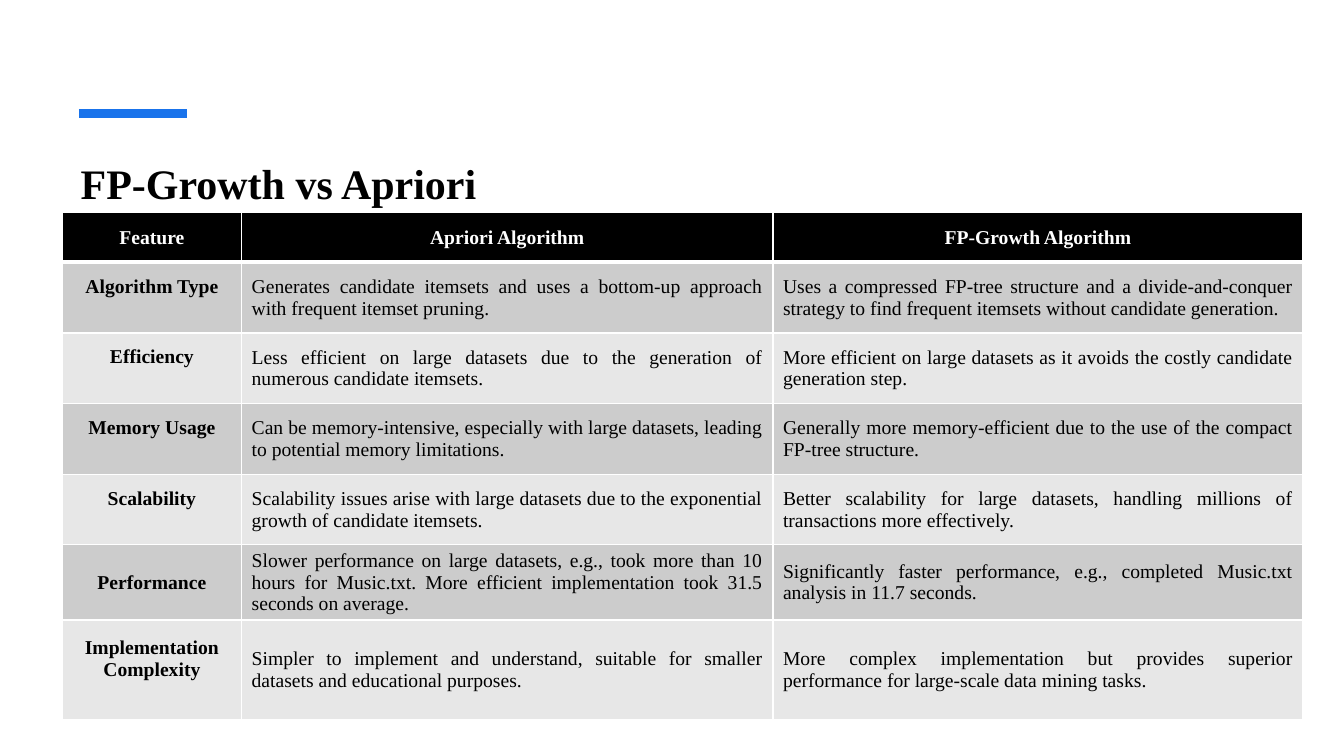
from lxml import etree
from pptx import Presentation
from pptx.dml.color import RGBColor
from pptx.enum.shapes import MSO_CONNECTOR
from pptx.enum.text import MSO_ANCHOR, PP_ALIGN
from pptx.oxml.ns import qn
from pptx.util import Cm, Pt

STRAIGHT = MSO_CONNECTOR.STRAIGHT
CENTER, JUSTIFY, LEFT = PP_ALIGN.CENTER, PP_ALIGN.JUSTIFY, PP_ALIGN.LEFT
MIDDLE, BOTTOM = MSO_ANCHOR.MIDDLE, MSO_ANCHOR.BOTTOM
FONT = "Times New Roman"
BLACK, WHITE, BLUE = "000000", "FFFFFF", "1973EB"
BANDS = ["CCCCCC", "E7E7E7"]
COLUMN_WIDTHS = [4.52, 13.39, 13.36]
ROW_HEIGHTS = [1.25, 1.78, 1.78, 1.78, 1.78, 1.88, 2.51]
RAISED_MARGIN = 0.68
CENTRED_LABELS = ["Feature", "Performance"]
COMPARISON = [
    ["Feature", "Apriori Algorithm", "FP-Growth Algorithm"],
    ["Algorithm Type",
     "Generates candidate itemsets and uses a bottom-up approach with frequent itemset pruning.",
     "Uses a compressed FP-tree structure and a divide-and-conquer strategy to find "
     "frequent itemsets without candidate generation."],
    ["Efficiency",
     "Less efficient on large datasets due to the generation of numerous candidate itemsets.",
     "More efficient on large datasets as it avoids the costly candidate generation step."],
    ["Memory Usage",
     "Can be memory-intensive, especially with large datasets, leading to potential "
     "memory limitations.",
     "Generally more memory-efficient due to the use of the compact FP-tree structure."],
    ["Scalability",
     "Scalability issues arise with large datasets due to the exponential growth of "
     "candidate itemsets.",
     "Better scalability for large datasets, handling millions of transactions more effectively."],
    ["Performance",
     "Slower performance on large datasets, e.g., took more than 10 hours for Music.txt. "
     "More efficient implementation took 31.5 seconds on average.",
     "Significantly faster performance, e.g., completed Music.txt analysis in 11.7 seconds."],
    ["Implementation Complexity",
     "Simpler to implement and understand, suitable for smaller datasets and educational purposes.",
     "More complex implementation but provides superior performance for large-scale "
     "data mining tasks."],
]


def rgb(value):
    """Turn a hex string into a colour."""
    return RGBColor.from_string(value)


def write(tf, text, size, color, bold, align):
    """Fill a text frame with one formatted paragraph."""
    tf.text = text
    p = tf.paragraphs[0]
    p.alignment = align
    font = p.runs[0].font
    font.name, font.size, font.bold = FONT, Pt(size), bold
    font.color.rgb = rgb(color)


def add_title(s, text):
    """Place and format the slide title."""
    title = s.shapes.title
    title.left, title.top, title.width, title.height = Cm(1.78), Cm(3.81), Cm(30.25), Cm(1.55)
    write(title.text_frame, text, 30, BLACK, True, LEFT)
    title.text_frame.vertical_anchor = BOTTOM


def add_accent(s):
    """Draw the thick accent line above the title."""
    line = s.shapes.add_connector(STRAIGHT, Cm(1.99), Cm(2.86), Cm(4.71), Cm(2.86))
    line.line.color.rgb = rgb(BLUE)
    line.line.width = Pt(6)
    etree.SubElement(line._element.spPr, qn("a:effectLst"))


def set_borders(cell, widths):
    """Give a cell white borders of the given widths: left, right, top, bottom."""
    tcPr = cell._tc.get_or_add_tcPr()
    for i, (side, width) in enumerate(zip("LRTB", widths)):
        ln = etree.Element(qn(f"a:ln{side}"), w=str(Pt(width)))
        fill = etree.SubElement(ln, qn("a:solidFill"))
        etree.SubElement(fill, qn("a:srgbClr"), val=WHITE)
        tcPr.insert(i, ln)


def format_cell(cell, text, row, column):
    """Write and style one table cell according to its row and column."""
    header, label = row == 0, column == 0
    write(cell.text_frame, text, 14, WHITE if header else BLACK, header or label,
          CENTER if header or label else JUSTIFY)
    cell.vertical_anchor = MIDDLE
    if label and text not in CENTRED_LABELS:
        cell.margin_bottom = Cm(RAISED_MARGIN)
    cell.fill.solid()
    cell.fill.fore_color.rgb = rgb(BLACK if header else BANDS[(row - 1) % 2])
    set_borders(cell, [1, 1, 3 if row == 1 else 1, 3 if header else 1])


def add_comparison(s):
    """Add the table that compares both algorithms."""
    table = s.shapes.add_table(len(ROW_HEIGHTS), len(COLUMN_WIDTHS), Cm(1.57), Cm(5.36),
                               Cm(sum(COLUMN_WIDTHS)), Cm(sum(ROW_HEIGHTS))).table
    for column, width in zip(table.columns, COLUMN_WIDTHS):
        column.width = Cm(width)
    for row, height in zip(table.rows, ROW_HEIGHTS):
        row.height = Cm(height)
    for i, texts in enumerate(COMPARISON):
        for j, text in enumerate(texts):
            format_cell(table.cell(i, j), text, i, j)


def main():
    """Build and save the slide."""
    prs = Presentation()
    prs.slide_width, prs.slide_height = Cm(33.87), Cm(19.05)
    s = prs.slides.add_slide(prs.slide_layouts[5])
    add_accent(s)
    add_title(s, "FP-Growth vs Apriori")
    add_comparison(s)
    prs.save("out.pptx")


if __name__ == "__main__":
    main()
